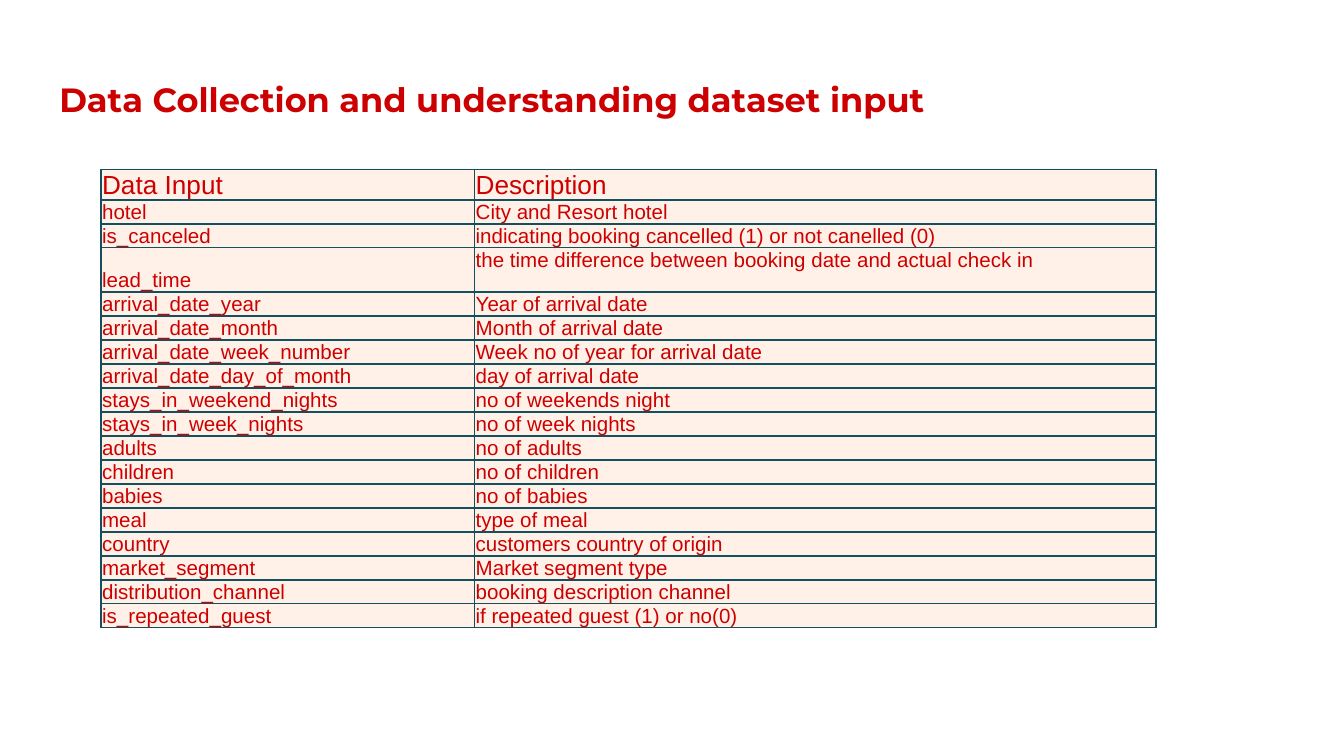
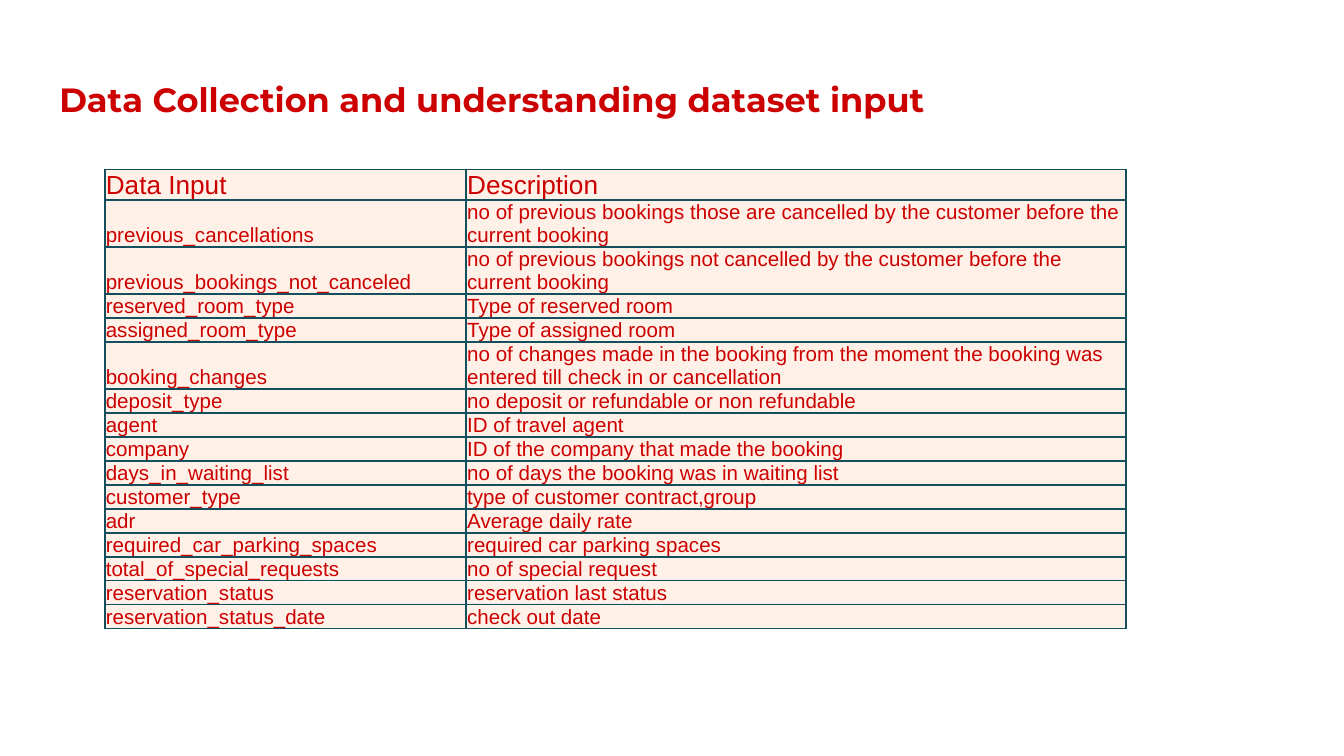
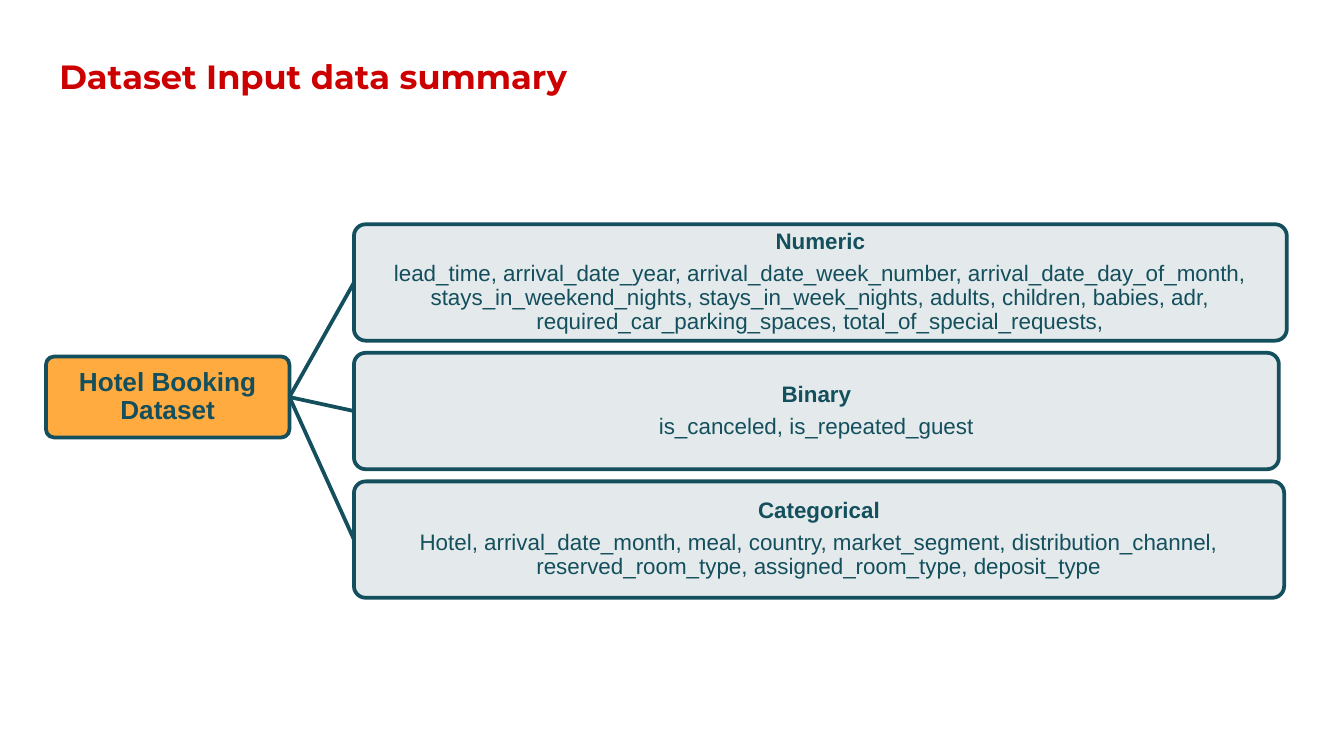
from lxml import etree
from pptx import Presentation
from pptx.dml.color import RGBColor
from pptx.enum.shapes import MSO_CONNECTOR, MSO_SHAPE
from pptx.enum.text import MSO_ANCHOR, MSO_AUTO_SIZE, PP_ALIGN
from pptx.oxml.ns import qn
from pptx.util import Cm, Pt

STRAIGHT = MSO_CONNECTOR.STRAIGHT
ROUNDED = MSO_SHAPE.ROUNDED_RECTANGLE
TOP, MIDDLE, BOTTOM = MSO_ANCHOR.TOP, MSO_ANCHOR.MIDDLE, MSO_ANCHOR.BOTTOM
NO_FIT = MSO_AUTO_SIZE.NONE
LEFT, CENTER = PP_ALIGN.LEFT, PP_ALIGN.CENTER

RED = RGBColor(0xCC, 0x00, 0x00)
TEAL = RGBColor(0x13, 0x4F, 0x5C)
PEACH = RGBColor(0xFF, 0xF1, 0xE8)
ORANGE = RGBColor(0xFF, 0xAB, 0x40)
PALE_GREY = RGBColor(0xE4, 0xE9, 0xEB)

TITLE_ONLY = 5
HEADER_HEIGHT, ROW_HEIGHT = 0.57, 0.45
TABLE_TOP = 3.2

COLLECTION_TITLE = "Data Collection and understanding dataset input"
COLUMN_NAMES = ("Data Input", "Description")

BOOKING_FIELDS = [
    ("hotel", "City and Resort hotel"),
    ("is_canceled", "indicating booking cancelled (1) or not canelled (0)"),
    ("lead_time", "the time difference between booking date and actual check in"),
    ("arrival_date_year", "Year of arrival date"),
    ("arrival_date_month", "Month of arrival date"),
    ("arrival_date_week_number", "Week no of year for arrival date"),
    ("arrival_date_day_of_month", "day of arrival date"),
    ("stays_in_weekend_nights", "no of weekends night"),
    ("stays_in_week_nights", "no of week nights"),
    ("adults", "no of adults"),
    ("children", "no of children"),
    ("babies", "no of babies"),
    ("meal", "type of meal"),
    ("country", "customers country of origin"),
    ("market_segment", "Market segment type"),
    ("distribution_channel", "booking description channel"),
    ("is_repeated_guest", "if repeated guest (1) or no(0)"),
]

RESERVATION_FIELDS = [
    ("previous_cancellations",
     "no of previous bookings those are cancelled by the customer before the current booking"),
    ("previous_bookings_not_canceled",
     "no of previous bookings not cancelled by the customer before the current booking"),
    ("reserved_room_type", "Type of reserved room"),
    ("assigned_room_type", "Type of assigned room"),
    ("booking_changes",
     "no of changes made in the booking from the moment the booking was entered "
     "till check in or cancellation"),
    ("deposit_type", "no deposit or refundable or non refundable"),
    ("agent", "ID of travel agent"),
    ("company", "ID of the company that made the booking"),
    ("days_in_waiting_list", "no of days the booking was in waiting list"),
    ("customer_type", "type of customer contract,group"),
    ("adr", "Average daily rate"),
    ("required_car_parking_spaces", "required car parking spaces"),
    ("total_of_special_requests", "no of special request"),
    ("reservation_status", "reservation last status"),
    ("reservation_status_date", "check out date"),
]

# Kind of data, its fields, and the width of its box
DATA_KINDS = [
    ("Numeric",
     "lead_time, arrival_date_year, arrival_date_week_number, arrival_date_day_of_month, "
     "stays_in_weekend_nights, stays_in_week_nights, adults, children, babies, adr, "
     "required_car_parking_spaces, total_of_special_requests,", 17.63),
    ("Binary", "is_canceled, is_repeated_guest", 17.48),
    ("Categorical",
     "Hotel, arrival_date_month, meal, country, market_segment, distribution_channel, "
     "reserved_room_type, assigned_room_type, deposit_type", 17.58),
]


def set_values(target, values):
    for name, value in values.items():
        setattr(target, name, value)


def margins(side, bottom):
    values = dict.fromkeys(("margin_left", "margin_right", "margin_top"), Cm(side))
    return values | {"margin_bottom": Cm(bottom)}


class Deck:
    def __init__(self):
        self.presentation = Presentation()
        set_values(self.presentation, {"slide_width": Cm(25.4), "slide_height": Cm(14.29)})
        self.slide = None

    def add_text(self, paragraph, text, size, color, bold=False, font="Arial"):
        run = paragraph.add_run()
        run.text = text
        set_values(run.font, {"name": font, "size": Pt(size), "bold": bold})
        run.font.color.rgb = color

    def add_slide(self, title, top):
        layout = self.presentation.slide_layouts[TITLE_ONLY]
        self.slide = self.presentation.slides.add_slide(layout)
        heading = self.slide.shapes.title
        set_values(heading, {"left": Cm(0.87), "top": Cm(top),
                             "width": Cm(23.67), "height": Cm(1.59)})
        frame = heading.text_frame
        set_values(frame, margins(0.25, 0.25) | {
            "word_wrap": True, "auto_size": NO_FIT, "vertical_anchor": TOP})
        frame.paragraphs[0].alignment = LEFT
        self.add_text(frame.paragraphs[0], title, 18, RED, True, "Montserrat")

    def border(self, cell):
        properties = cell._tc.get_or_add_tcPr()
        for place, side in enumerate(("lnL", "lnR", "lnT", "lnB")):
            edge = etree.Element(qn(f"a:{side}"), w=str(Pt(1)))
            fill = etree.SubElement(edge, qn("a:solidFill"))
            etree.SubElement(fill, qn("a:srgbClr"), val=str(TEAL))
            properties.insert(place, edge)

    def add_field_table(self, left, widths, fields, tall_rows, tall_height):
        heights = [HEADER_HEIGHT] + [
            tall_height if name in tall_rows else ROW_HEIGHT for name, _ in fields]
        table = self.slide.shapes.add_table(
            len(heights), len(widths), Cm(left), Cm(TABLE_TOP),
            Cm(sum(widths)), Cm(sum(heights))).table
        set_values(table, {"first_row": False, "horz_banding": False})
        for column, width in zip(table.columns, widths):
            column.width = Cm(width)
        for row, height, texts in zip(table.rows, heights, [COLUMN_NAMES, *fields]):
            row.height = Cm(height)
            size = 14 if texts is COLUMN_NAMES else 11
            for cell, text, anchor in zip(row.cells, texts, (BOTTOM, TOP)):
                set_values(cell, margins(0.02, 0) | {"vertical_anchor": anchor})
                cell.fill.solid()
                cell.fill.fore_color.rgb = PEACH
                self.border(cell)
                self.add_text(cell.text_frame.paragraphs[0], text, size, RED)

    def add_box(self, left, top, width, height, fill, size, heading, detail=None):
        box = self.slide.shapes.add_shape(ROUNDED, Cm(left), Cm(top), Cm(width), Cm(height))
        box.adjustments[0] = 0.1
        box.shadow.inherit = False
        box.fill.solid()
        box.fill.fore_color.rgb = fill
        box.line.color.rgb = TEAL
        box.line.width = Pt(2)
        frame = box.text_frame
        set_values(frame, margins(0.09, 0.09) | {"word_wrap": True, "vertical_anchor": MIDDLE})
        paragraph = frame.paragraphs[0]
        for text, bold in ((heading, True), (detail, False)):
            if text:
                paragraph = paragraph if bold else frame.add_paragraph()
                set_values(paragraph, {"alignment": CENTER, "line_spacing": 0.9,
                                       "space_after": Pt(size * 0.35)})
                self.add_text(paragraph, text, size, TEAL, bold)

    def add_branch(self, x1, y1, x2, y2):
        branch = self.slide.shapes.add_connector(STRAIGHT, Cm(x1), Cm(y1), Cm(x2), Cm(y2))
        branch.line.color.rgb = TEAL
        branch.line.width = Pt(2)
        etree.SubElement(branch._element.spPr, qn("a:effectLst"))

    def add_tree(self, root, kinds):
        """Draw the root box on the left and one branch and box for each kind."""
        left, top, width, height = 0.87, 6.74, 4.6, 1.53
        kind_left, kind_top, kind_height, step = 6.69, 4.24, 2.2, 2.43
        self.add_box(left, top, width, height, ORANGE, 14, root)
        for index, (kind, members, kind_width) in enumerate(kinds):
            y = kind_top + index * step
            self.add_branch(left + width, top + height / 2, kind_left, y + kind_height / 2)
            self.add_box(kind_left, y, kind_width, kind_height, PALE_GREY, 12, kind, members)


def main():
    deck = Deck()
    deck.add_slide(COLLECTION_TITLE, 1.24)
    deck.add_field_table(1.91, (7.06, 12.88), BOOKING_FIELDS, {"lead_time"}, 0.84)

    deck.add_slide(COLLECTION_TITLE, 1.24)
    two_line_fields = {"previous_cancellations", "previous_bookings_not_canceled",
                       "booking_changes"}
    deck.add_field_table(1.98, (6.83, 12.47), RESERVATION_FIELDS, two_line_fields, 0.89)

    deck.add_slide("Dataset Input data summary", 0.81)
    deck.add_tree("Hotel Booking Dataset", DATA_KINDS)
    deck.presentation.save("out.pptx")


if __name__ == "__main__":
    main()
